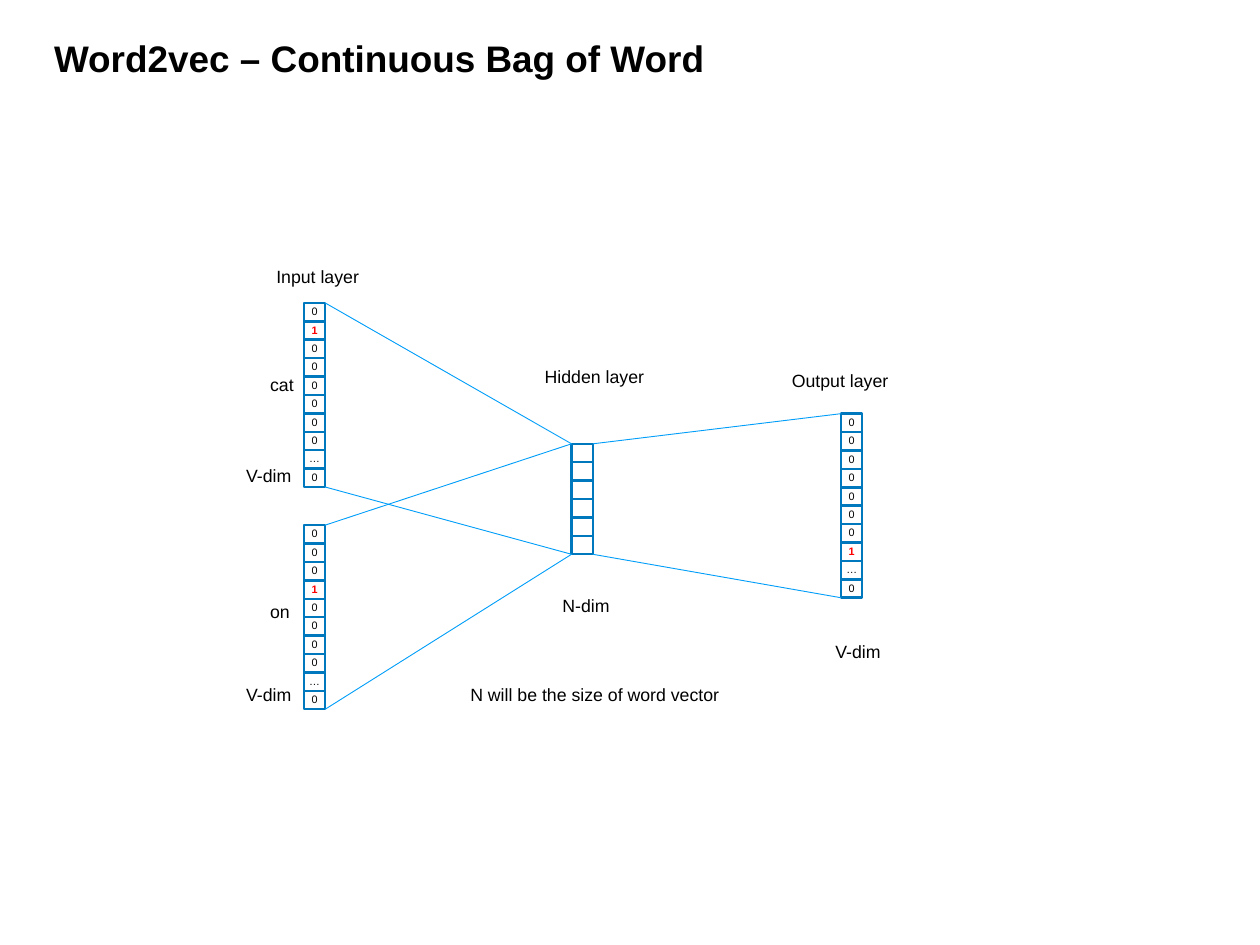
from pptx import Presentation
from pptx import util as u
from pptx.dml.color import RGBColor
from pptx.enum import shapes, text
from pptx.oxml.ns import qn

FONT = "Arial"
BLACK, RED = "000000", "FF0000"
CELL_LINE, LINK_LINE = "0078BD", "009EF9"
CELL_WIDTH, CELL_HEIGHT = 17.3, 14.96
LABEL_HEIGHT = 23


def color(hex_string):
    return RGBColor.from_string(hex_string)


def style_paragraph(paragraph, size, hex_string=BLACK, bold=False):
    paragraph.line_spacing = 0.9
    paragraph.space_before = u.Pt(0)
    paragraph.font.name = FONT
    paragraph.font.size = u.Pt(size)
    paragraph.font.bold = bold
    paragraph.font.color.rgb = color(hex_string)


def add_title(slide, left, top, width, height, words):
    title = slide.shapes.title
    title.left, title.top = u.Pt(left), u.Pt(top)
    title.width, title.height = u.Pt(width), u.Pt(height)
    frame = title.text_frame
    frame.text = words
    frame.auto_size = text.MSO_AUTO_SIZE.NONE
    frame.vertical_anchor = text.MSO_ANCHOR.TOP
    frame.paragraphs[0].alignment = text.PP_ALIGN.LEFT
    style_paragraph(frame.paragraphs[0], 30, bold=True)


def add_label(slide, left, top, width, words):
    box = slide.shapes.add_textbox(u.Pt(left), u.Pt(top), u.Pt(width), u.Pt(LABEL_HEIGHT))
    frame = box.text_frame
    frame.word_wrap = False
    frame.text = words
    style_paragraph(frame.paragraphs[0], 14.4)


def add_vector(slide, left, top, values):
    """Stack one cell per value and return the corners of the column."""
    group = slide.shapes.add_group_shape()
    for row, value in enumerate(values):
        cell = group.shapes.add_shape(
            shapes.MSO_SHAPE.RECTANGLE, u.Pt(left), u.Pt(top + row * CELL_HEIGHT),
            u.Pt(CELL_WIDTH), u.Pt(CELL_HEIGHT))
        cell.shadow.inherit = False
        cell.fill.background()
        cell.line.color.rgb = color(CELL_LINE)
        cell.line.width = u.Pt(2)
        frame = cell.text_frame
        frame.margin_left = frame.margin_right = frame.margin_top = frame.margin_bottom = 0
        frame.word_wrap = False
        frame.vertical_anchor = text.MSO_ANCHOR.MIDDLE
        if value.strip():
            frame.text = value
            paragraph = frame.paragraphs[0]
            paragraph.alignment = text.PP_ALIGN.CENTER
            hot = value == "1"
            style_paragraph(paragraph, 8.8, RED if hot else BLACK, hot)
    right, bottom = left + CELL_WIDTH, top + len(values) * CELL_HEIGHT
    return {"left": [(left, top), (left, bottom)], "right": [(right, top), (right, bottom)]}


def link_vectors(slide, source, target):
    """Join the top and bottom corners of two facing columns."""
    for start, end in zip(source["right"], target["left"]):
        link = slide.shapes.add_connector(
            shapes.MSO_CONNECTOR.STRAIGHT, *(u.Pt(length) for length in start + end))
        link.line.color.rgb = color(LINK_LINE)
        link.line.width = u.Pt(0.75)
        properties = link._element.spPr
        properties.append(properties.makeelement(qn("a:effectLst"), {}))


def add_network(slide, left, top):
    # Word vectors
    cat = add_vector(slide, left, top, "01000000…0")
    on = add_vector(slide, left, top + 180.6, "00010000…0")
    hidden = add_vector(slide, left + 217.5, top + 114.5, " " * 6)
    output = add_vector(slide, left + 436.5, top + 90, "00000001…0")

    # Links between layers
    for source, target in ((cat, hidden), (on, hidden), (hidden, output)):
        link_vectors(slide, source, target)

    # Labels, placed from the top left of the input column
    for x, y, width, words in (
        (-29.5, -31.6, 83, "Input layer"),
        (-34.6, 56.2, 34, "cat"),
        (-34.6, 240.5, 31, "on"),
        (-54, 129.6, 52.5, "V-dim"),
        (-54, 308.2, 52.5, "V-dim"),
        (188.6, 49.7, 96.5, "Hidden layer"),
        (203, 235.5, 53.3, "N-dim"),
        (128.1, 308.2, 219, "N will be the size of word vector"),
        (389.5, 52.6, 93.6, "Output layer"),
        (424.8, 272.9, 52.5, "V-dim"),
    ):
        add_label(slide, left + x, top + y, width, words)


def main():
    presentation = Presentation()
    presentation.slide_width, presentation.slide_height = u.Pt(1024), u.Pt(768)
    slide = presentation.slides.add_slide(presentation.slide_layouts[5])
    add_title(slide, 36.7, 29.5, 641.5, 40.3, "Word2vec – Continuous Bag of Word")
    add_network(slide, 247, 246.2)
    presentation.save("out.pptx")


if __name__ == "__main__":
    main()
